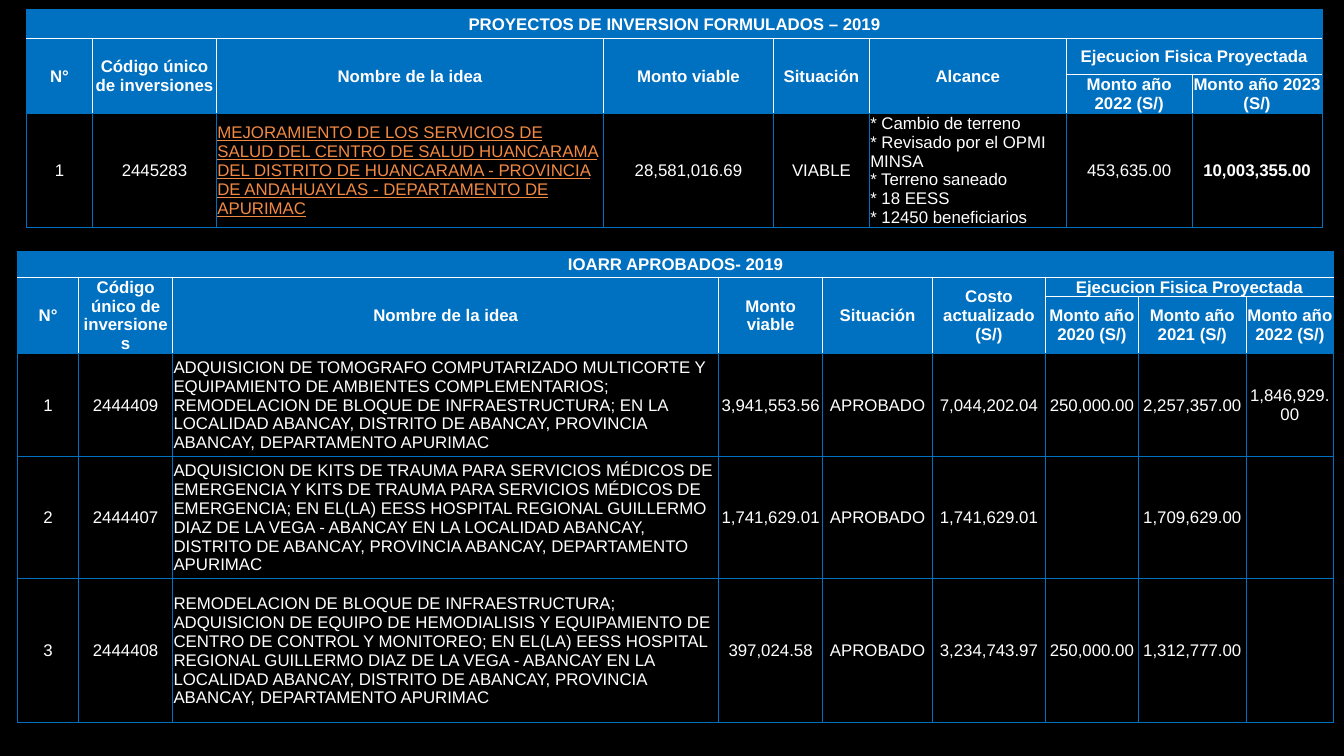
from lxml import etree
from pptx import Presentation
from pptx import util as u
from pptx.dml.color import RGBColor
from pptx.enum import text
from pptx.oxml import ns

COLORS = {"background": "000000", "blue": "0070C0", "white": "FFFFFF", "orange": "F28943"}
HEADER_ROWS = 3
NO_STYLE = "{2D5ABB26-0587-4C30-8999-92F81FD0307C}"
MARGINS = {"margin_left": 0.5, "margin_right": 0.5, "margin_top": 0.5, "margin_bottom": 0}


def set_border(cell, side, color):
    properties = cell._tc.get_or_add_tcPr()
    line = etree.SubElement(properties, ns.qn("a:ln" + side), w=str(u.Pt(0.5)))
    fill = etree.SubElement(line, ns.qn("a:solidFill"))
    etree.SubElement(fill, ns.qn("a:srgbClr"), val=COLORS[color])


def write_cell(cell, content, bold, color, centred, underlined):
    paragraph = cell.text_frame.paragraphs[0]
    paragraph.text = content
    paragraph.alignment = text.PP_ALIGN.CENTER if centred else text.PP_ALIGN.LEFT
    formats = {"name": "Arial", "size": u.Pt(9), "bold": bold, "underline": underlined}
    for font in [paragraph.font] + [run.font for run in paragraph.runs]:
        for name, value in formats.items():
            setattr(font, name, value)
        font.color.rgb = RGBColor.from_string(COLORS[color])


# Table contents; "years" are the columns under the shared heading
tables = [
    {
        "title": "PROYECTOS DE INVERSION FORMULADOS – 2019",
        "place": (14.2, 5.1, 694, 123),
        "columns": [35.4, 66.4, 207.3, 91.1, 51.4, 105.5, 67.4, 69.6],
        "rows": [15.6, 19.3, 19.3, 51.2],
        "headings": ["N°", "Código único de inversiones", "Nombre de la idea",
                     "Monto viable", "Situación", "Alcance"],
        "years": [2022, 2023],
        "body": [
            ["1", "2445283",
             "MEJORAMIENTO DE LOS SERVICIOS DE SALUD DEL CENTRO DE SALUD HUANCARAMA "
             "DEL DISTRITO DE HUANCARAMA - PROVINCIA DE ANDAHUAYLAS - DEPARTAMENTO DE APURIMAC",
             "28,581,016.69", "VIABLE",
             "* Cambio de terreno\n* Revisado por el OPMI MINSA\n* Terreno saneado\n"
             "* 18 EESS\n* 12450 beneficiarios",
             "453,635.00", "10,003,355.00"],
        ],
        "left_columns": [2, 5], "link_columns": [2], "bold_columns": [7],
    },
    {
        "title": "IOARR APROBADOS- 2019",
        "place": (9.4, 134.5, 705, 255.6),
        "columns": [32.7, 50.4, 292.5, 55.7, 58.9, 60.5, 49.8, 57.9, 46.6],
        "rows": [13.9, 10.1, 17.3, 55.2, 65.7, 76.8],
        "headings": ["N°", "Código único de inversiones", "Nombre de la idea",
                     "Monto viable", "Situación", "Costo actualizado (S/)"],
        "years": [2020, 2021, 2022],
        "body": [
            ["1", "2444409",
             "ADQUISICION DE TOMOGRAFO COMPUTARIZADO MULTICORTE Y EQUIPAMIENTO DE AMBIENTES "
             "COMPLEMENTARIOS; REMODELACION DE BLOQUE DE INFRAESTRUCTURA; EN LA LOCALIDAD "
             "ABANCAY, DISTRITO DE ABANCAY, PROVINCIA ABANCAY, DEPARTAMENTO APURIMAC",
             "3,941,553.56", "APROBADO", "7,044,202.04",
             "250,000.00", "2,257,357.00", "1,846,929.00"],
            ["2", "2444407",
             "ADQUISICION DE KITS DE TRAUMA PARA SERVICIOS MÉDICOS DE EMERGENCIA Y KITS DE "
             "TRAUMA PARA SERVICIOS MÉDICOS DE EMERGENCIA; EN EL(LA) EESS HOSPITAL REGIONAL "
             "GUILLERMO DIAZ DE LA VEGA - ABANCAY EN LA LOCALIDAD ABANCAY, DISTRITO DE "
             "ABANCAY, PROVINCIA ABANCAY, DEPARTAMENTO APURIMAC",
             "1,741,629.01", "APROBADO", "1,741,629.01", "", "1,709,629.00", ""],
            ["3", "2444408",
             "REMODELACION DE BLOQUE DE INFRAESTRUCTURA; ADQUISICION DE EQUIPO DE HEMODIALISIS "
             "Y EQUIPAMIENTO DE CENTRO DE CONTROL Y MONITOREO; EN EL(LA) EESS HOSPITAL REGIONAL "
             "GUILLERMO DIAZ DE LA VEGA - ABANCAY EN LA LOCALIDAD ABANCAY, DISTRITO DE "
             "ABANCAY, PROVINCIA ABANCAY, DEPARTAMENTO APURIMAC",
             "397,024.58", "APROBADO", "3,234,743.97", "250,000.00", "1,312,777.00", ""],
        ],
        "left_columns": [2], "link_columns": [], "bold_columns": [],
    },
]

# Slide with a black background
presentation = Presentation()
presentation.slide_width, presentation.slide_height = u.Pt(720), u.Pt(405)
slide = presentation.slides.add_slide(presentation.slide_layouts[6])
slide.background.fill.solid()
slide.background.fill.fore_color.rgb = RGBColor.from_string(COLORS["background"])

for data in tables:
    # Plain table with its column and row sizes
    row_count, column_count = len(data["rows"]), len(data["columns"])
    place = [u.Pt(length) for length in data["place"]]
    frame = slide.shapes.add_table(row_count, column_count, *place)
    table = frame.table
    table.first_row = table.horz_banding = False
    table._tbl.tblPr.find(ns.qn("a:tableStyleId")).text = NO_STYLE
    for column, width in zip(table.columns, data["columns"]):
        column.width = u.Pt(width)
    for row, height in zip(table.rows, data["rows"]):
        row.height = u.Pt(height)
    frame.height = place[3]

    # Merged headings: title, one per column, and one over the years
    heading_count, last_column = len(data["headings"]), column_count - 1
    table.cell(0, 0).merge(table.cell(0, last_column))
    for index in range(heading_count):
        table.cell(1, index).merge(table.cell(2, index))
    table.cell(1, heading_count).merge(table.cell(1, last_column))

    grid = [
        [data["title"]],
        data["headings"] + ["Ejecucion Fisica Proyectada"],
        [""] * heading_count + [f"Monto año {year} (S/)" for year in data["years"]],
    ] + data["body"]

    for row_index in range(row_count):
        is_header = row_index < HEADER_ROWS
        for column_index in range(column_count):
            cell = table.cell(row_index, column_index)
            if cell.is_spanned:
                continue

            # White lines inside the header, blue lines elsewhere
            end_row = row_index + (cell.span_height if cell.is_merge_origin else 1)
            end_column = column_index + (cell.span_width if cell.is_merge_origin else 1)
            inner_sides = {"L": column_index > 0, "R": end_column < column_count,
                           "T": row_index > 0, "B": end_row < HEADER_ROWS}
            for side, is_inner in inner_sides.items():
                set_border(cell, side, "white" if is_header and is_inner else "blue")

            # Fill, margins and text
            if is_header:
                cell.fill.solid()
                cell.fill.fore_color.rgb = RGBColor.from_string(COLORS["blue"])
            else:
                cell.fill.background()
            for name, value in MARGINS.items():
                setattr(cell, name, u.Pt(value))
            cell.vertical_anchor = text.MSO_ANCHOR.MIDDLE
            is_link = not is_header and column_index in data["link_columns"]
            write_cell(cell, grid[row_index][column_index],
                       bold=is_header or column_index in data["bold_columns"],
                       color="orange" if is_link else "white",
                       centred=is_header or column_index not in data["left_columns"],
                       underlined=is_link)

presentation.save("out.pptx")
